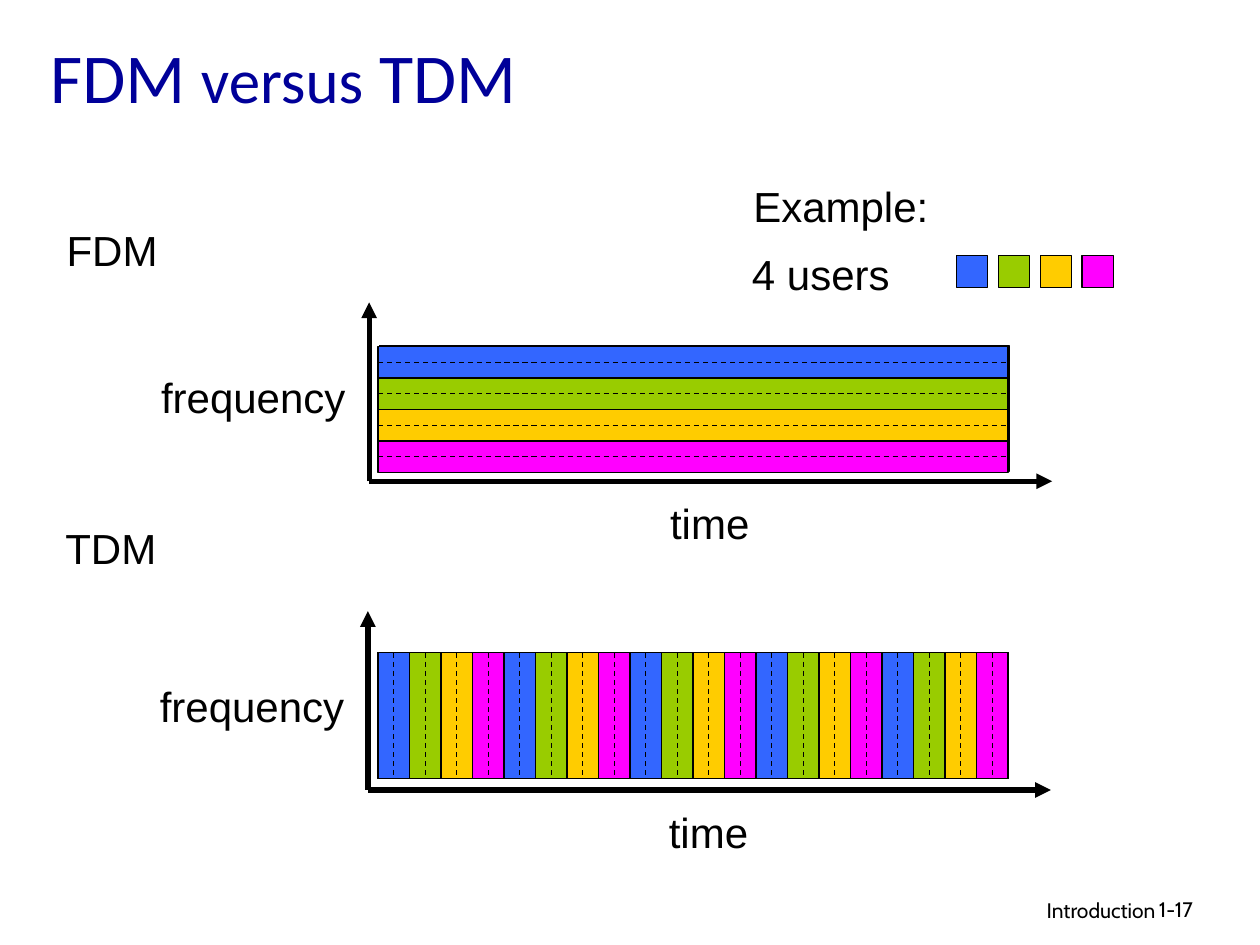
from dataclasses import dataclass

from lxml.etree import SubElement
from pptx import Presentation
from pptx.dml.color import RGBColor
from pptx.enum.dml import MSO_LINE_DASH_STYLE as Dash
from pptx.enum.shapes import MSO_CONNECTOR as Connector, MSO_SHAPE as Shape
from pptx.enum.text import MSO_ANCHOR as Anchor, MSO_AUTO_SIZE as AutoSize, PP_ALIGN as Align
from pptx.oxml.ns import qn
from pptx.util import Inches, Pt

BLACK = RGBColor(0x00, 0x00, 0x00)
NAVY = RGBColor(0x00, 0x00, 0x99)
TEAL = RGBColor(0x00, 0xCC, 0x99)
BLUE = RGBColor(0x33, 0x66, 0xFF)
GREEN = RGBColor(0x99, 0xCC, 0x00)
YELLOW = RGBColor(0xFF, 0xCC, 0x00)
MAGENTA = RGBColor(0xFF, 0x00, 0xFF)
USERS = (BLUE, GREEN, YELLOW, MAGENTA)

# All positions are columns and rows of quarter-inch cells
CELL = 0.25
BAND_COLS, BAND_ROWS = 20, 4


def cells(count: float) -> int:
    return Inches(count * CELL)


@dataclass(frozen=True)
class Box:
    col: float
    row: float
    cols: float
    rows: float

    def emu(self) -> tuple[int, ...]:
        return tuple(cells(n) for n in (self.col, self.row, self.cols, self.rows))


@dataclass(frozen=True)
class Diagram:
    name: str
    label_row: float
    axis_col: float
    axis_row: float
    frame: Box
    bands: Box
    by_time: bool


DIAGRAMS = (
    Diagram("FDM", 6.92, 11.72, 15.28, Box(12.04, 10.96, BAND_COLS, BAND_ROWS),
            Box(12, 11, BAND_COLS, BAND_ROWS), by_time=False),
    Diagram("TDM", 16.4, 11.68, 25.08, Box(12, 20.72, BAND_COLS, BAND_ROWS),
            Box(12, 20.72, BAND_COLS, BAND_ROWS), by_time=True),
)


def add_text(slide, box: Box, *parts: tuple[str, float], font: str = "Arial",
             color: RGBColor = BLACK, align: Align = Align.LEFT, wrap: bool = False) -> None:
    frame = slide.shapes.add_textbox(*box.emu()).text_frame
    frame.word_wrap = wrap
    frame.auto_size = AutoSize.NONE if wrap else AutoSize.SHAPE_TO_FIT_TEXT
    frame.vertical_anchor = Anchor.MIDDLE if len(parts) > 1 else Anchor.TOP
    paragraph = frame.paragraphs[0]
    paragraph.alignment = align
    paragraph.font.name = font
    paragraph.font.color.rgb = color
    for words, size in parts:
        run = paragraph.add_run()
        run.text = words
        run.font.size = Pt(size)


def add_label(slide, words: str, box: Box) -> None:
    add_text(slide, box, (words, 24))


def add_block(slide, box: Box, fill: RGBColor) -> None:
    block = slide.shapes.add_shape(Shape.RECTANGLE, *box.emu())
    block.shadow.inherit = False
    block.fill.solid()
    block.fill.fore_color.rgb = fill
    block.line.color.rgb = BLACK
    block.line.width = Pt(0.75)


def add_line(slide, start: tuple[float, float], end: tuple[float, float],
             width: float = 0.75, dashed: bool = False, arrow: bool = False) -> None:
    line = slide.shapes.add_connector(Connector.STRAIGHT, *map(cells, start + end))
    line.line.color.rgb = BLACK
    line.line.width = Pt(width)
    if dashed:
        line.line.dash_style = Dash.DASH
    if arrow:
        SubElement(line.line._get_or_add_ln(), qn("a:tailEnd"), type="triangle")
    SubElement(line._element.spPr, qn("a:effectLst"))


def add_axes(slide, diagram: Diagram) -> None:
    col, row = diagram.axis_col, diagram.axis_row
    add_label(slide, diagram.name, Box(col - 10, diagram.label_row, 3.68, 2))
    add_label(slide, "frequency", Box(col - 7, row - 3.68, 6.68, 2))
    add_label(slide, "time", Box(col + 9.16, row + 0.32, 3.32, 2))
    for end in ((col, row - 5.68), (col + 21.68, row)):
        add_line(slide, (col, row), end, width=3, arrow=True)


def add_divider(slide, diagram: Diagram, offset: float, dashed: bool = False) -> None:
    bands = diagram.bands
    if diagram.by_time:
        col = bands.col + offset
        add_line(slide, (col, bands.row), (col, bands.row + bands.rows), dashed=dashed)
    else:
        row = bands.row + offset
        add_line(slide, (bands.col, row), (bands.col + bands.cols, row), dashed=dashed)


def add_bands(slide, diagram: Diagram) -> None:
    add_block(slide, diagram.frame, TEAL)
    bands = diagram.bands
    count = bands.cols if diagram.by_time else bands.rows
    for slot in range(count):
        if diagram.by_time:
            box = Box(bands.col + slot, bands.row, 1, bands.rows)
        else:
            box = Box(bands.col, bands.row + slot, bands.cols, 1)
        add_block(slide, box, USERS[slot % len(USERS)])
    for edge in range(1, count):
        add_divider(slide, diagram, edge)
    for slot in range(count):
        add_divider(slide, diagram, slot + 0.5, dashed=True)


def main() -> None:
    deck = Presentation()
    deck.slide_width, deck.slide_height = cells(40), cells(30)
    slide = deck.slides.add_slide(deck.slide_layouts[6])

    # Title
    add_text(slide, Box(1.2, 0.32, 37.04, 4.16), ("FDM ", 40), ("versus", 36), (" TDM", 40),
             font="Calibri", color=NAVY, wrap=True)

    # Frequency and time division
    for diagram in DIAGRAMS:
        add_axes(slide, diagram)
        add_bands(slide, diagram)

    # Legend of users
    add_label(slide, "Example:", Box(23.52, 5.52, 6.36, 2))
    add_label(slide, "4 users", Box(23.48, 7.68, 5.2, 2))
    for user, color in enumerate(USERS):
        add_block(slide, Box(30.36 + user * 1.33, 8.12, 1, 1), color)

    # Footer
    add_text(slide, Box(24.4, 28.28, 12.68, 1.24), ("Introduction", 12),
             font="Cabin", align=Align.RIGHT, wrap=True)
    add_text(slide, Box(36.4, 28.28, 2.96, 1.2), ("1-17", 12), font="Cabin", wrap=True)

    deck.save("out.pptx")


if __name__ == "__main__":
    main()
